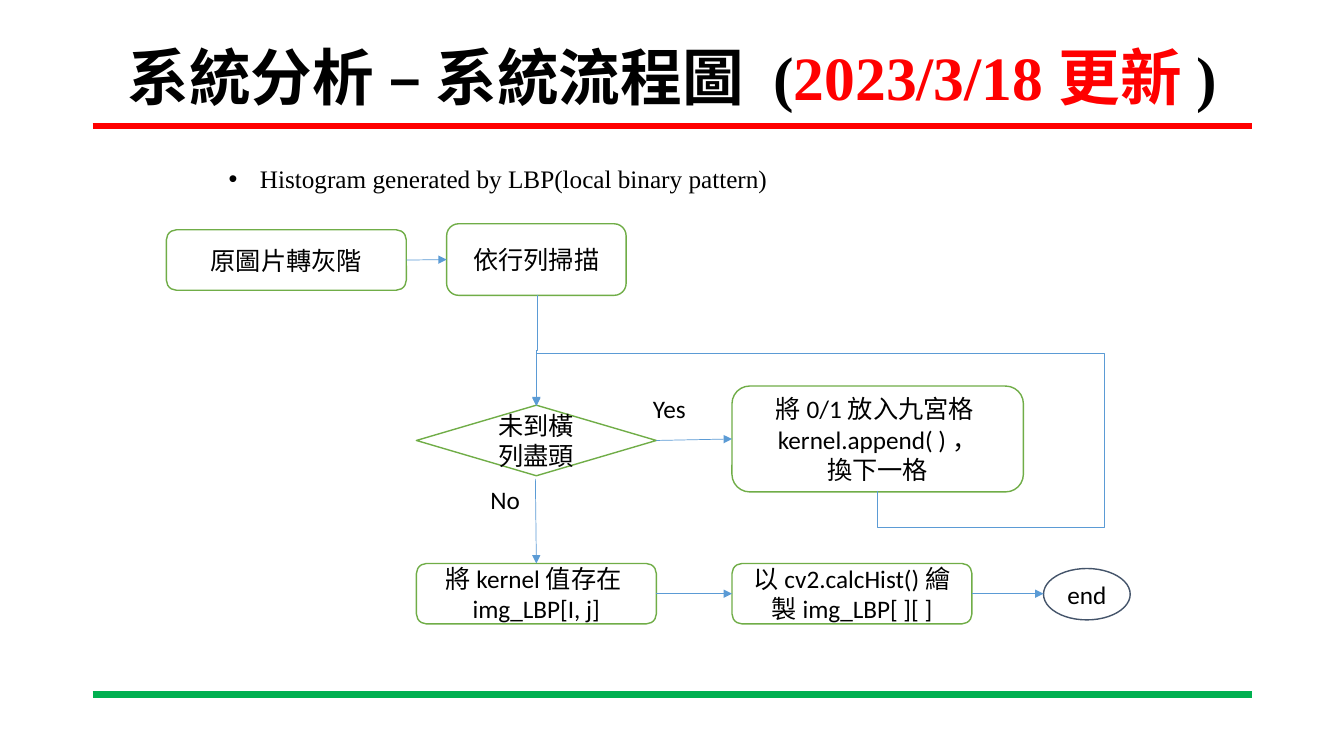
"""Build the system analysis flowchart slide."""
import dataclasses

import pptx
import pptx.dml.color
import pptx.enum.shapes
import pptx.enum.text
import pptx.oxml.ns
import pptx.util
from lxml import etree

EMU_PER_PX = 9144
SHAPE = pptx.enum.shapes.MSO_SHAPE
CONNECTOR = pptx.enum.shapes.MSO_CONNECTOR
CENTER = pptx.enum.text.PP_ALIGN.CENTER
MIDDLE = pptx.enum.text.MSO_ANCHOR.MIDDLE
TOP, LEFT, BOTTOM, RIGHT = range(4)


@dataclasses.dataclass(frozen=True)
class Theme:
    """Colours, fonts, type sizes and line widths of the slide."""
    ink: str = "000000"
    paper: str = "FFFFFF"
    accent: str = "FF0000"
    footer: str = "00B050"
    box: str = "70AD47"
    terminal: str = "44546A"
    arrow: str = "5B9BD5"
    heading_font: str = "Times New Roman"
    body_font: str = "Calibri"
    title_size: int = 44
    body_size: int = 18
    rule_width: float = 4.5
    outline_width: float = 1
    arrow_width: float = 0.5


THEME = Theme()


def px(length):
    """Turn a length in px into EMU."""
    return pptx.util.Emu(round(length * EMU_PER_PX))


def rgb(colour):
    """Turn a hex string into a colour."""
    return pptx.dml.color.RGBColor.from_string(colour)


def add_element(parent, tag, **attributes):
    """Append a DrawingML element to its parent."""
    return etree.SubElement(parent, pptx.oxml.ns.qn(tag), **attributes)


def style_paragraph(paragraph, font_name, size, bold=False):
    """Set the font that all runs of a paragraph share."""
    font = paragraph.font
    font.name, font.size, font.bold = font_name, pptx.util.Pt(size), bold
    font.color.rgb = rgb(THEME.ink)


def add_text_box(slide, left, top, width, height):
    """Add a wrapping text box and return its text frame."""
    frame = slide.shapes.add_textbox(px(left), px(top), px(width), px(height)).text_frame
    frame.word_wrap = True
    return frame


def add_title(slide, runs):
    """Add the centred title from pairs of text and colour."""
    frame = add_text_box(slide, 92, 40, 1150, 79)
    frame.vertical_anchor = MIDDLE
    paragraph = frame.paragraphs[0]
    paragraph.alignment = CENTER
    paragraph.line_spacing = 0.9
    style_paragraph(paragraph, THEME.heading_font, THEME.title_size, bold=True)
    for text, colour in runs:
        run = paragraph.add_run()
        run.text = text
        run.font.color.rgb = rgb(colour)


def add_bullet(slide, text):
    """Add the bulleted line above the flowchart."""
    paragraph = add_text_box(slide, 217, 157, 763, 40).paragraphs[0]
    paragraph.text = text
    properties = paragraph._p.get_or_add_pPr()
    indent = px(31)
    properties.set("marL", str(indent))
    properties.set("indent", str(-indent))
    add_element(properties, "a:buFont", typeface="Arial")
    add_element(properties, "a:buChar", char="•")
    style_paragraph(paragraph, THEME.heading_font, THEME.body_size)


def add_node(slide, kind, left, top, width, height, lines, fill=None, outline=None):
    """Add a flowchart shape with centred text."""
    shape = slide.shapes.add_shape(kind, px(left), px(top), px(width), px(height))
    shape.shadow.inherit = False
    if fill:
        shape.fill.solid()
        shape.fill.fore_color.rgb = rgb(fill)
    else:
        shape.fill.background()
    if outline:
        shape.line.color.rgb = rgb(outline)
        shape.line.width = pptx.util.Pt(THEME.outline_width)
    else:
        shape.line.fill.background()
    frame = shape.text_frame
    frame.word_wrap = True
    frame.vertical_anchor = MIDDLE
    frame.text = "\n".join(lines)
    for paragraph in frame.paragraphs:
        paragraph.alignment = CENTER
        style_paragraph(paragraph, THEME.body_font, THEME.body_size)
    return shape


def add_step(slide, left, top, width, height, *lines, kind=SHAPE.ROUNDED_RECTANGLE):
    """Add a white step with a green outline."""
    return add_node(slide, kind, left, top, width, height, lines, THEME.paper, THEME.box)


def add_line(slide, start, end, colour, width, kind=CONNECTOR.STRAIGHT, arrow=False):
    """Add a connector without shadow, with an optional arrowhead."""
    connector = slide.shapes.add_connector(kind, *map(px, (*start, *end)))
    connector.line.color.rgb = rgb(colour)
    connector.line.width = pptx.util.Pt(width)
    if arrow:
        add_element(connector.get_or_add_ln(), "a:tailEnd", type="triangle")
    add_element(connector._element.spPr, "a:effectLst")
    return connector


def add_arrow(slide, start, end, **options):
    """Add a thin blue arrow."""
    return add_line(slide, start, end, THEME.arrow, THEME.arrow_width, arrow=True, **options)


def join(slide, source, target):
    """Join the right side of one shape to the left side of another."""
    arrow = add_arrow(slide, (0, 0), (1, 1))
    arrow.begin_connect(source, RIGHT)
    arrow.end_connect(target, LEFT)


def add_elbow(slide, start, end, preset, adjustments):
    """Add a bent arrow that leaves vertically and ends to the left of its start."""
    (x1, y1), (x2, y2) = start, end
    arrow = add_arrow(slide, start, end, kind=CONNECTOR.ELBOW)
    width, height = abs(y2 - y1), abs(x2 - x1)
    arrow.left, arrow.top = px((x1 + x2 - width) / 2), px((y1 + y2 - height) / 2)
    arrow.width, arrow.height = px(width), px(height)
    properties = arrow._element.spPr
    frame = properties.find(pptx.oxml.ns.qn("a:xfrm"))
    for flip in ("flipH", "flipV"):
        frame.attrib.pop(flip, None)
    frame.set("rot", "5400000")
    if y2 < y1:
        frame.set("flipH", "1")
    geometry = properties.find(pptx.oxml.ns.qn("a:prstGeom"))
    geometry.set("prst", preset)
    guides = geometry.find(pptx.oxml.ns.qn("a:avLst"))
    for number, value in enumerate(adjustments, 1):
        add_element(guides, "a:gd", name=f"adj{number}", fmla=f"val {value}")


def main():
    """Build and save the slide."""
    presentation = pptx.Presentation()
    presentation.slide_width, presentation.slide_height = px(1333), px(750)
    slide = presentation.slides.add_slide(presentation.slide_layouts[6])

    for y, colour in ((125, THEME.accent), (689, THEME.footer)):
        add_line(slide, (92, y), (1242, y), colour, THEME.rule_width)
    add_title(slide, (("系統分析 – 系統流程圖 (", THEME.ink),
                      ("2023/3/18更新", THEME.accent), (")", THEME.ink)))
    add_bullet(slide, "Histogram generated by LBP(local binary pattern)")

    grayscale = add_step(slide, 165, 228, 238, 60, "原圖片轉灰階")
    scan = add_step(slide, 443, 222, 178, 71, "依行列掃描")
    store = add_step(slide, 413, 559, 238, 60, "將kernel值存在img_LBP[I, j]")
    append = add_step(slide, 726, 383, 289, 105,
                      "將0/1放入九宮格kernel.append( )，", "換下一格")
    decision = add_step(slide, 413, 402, 238, 70, "未到橫列盡頭", kind=SHAPE.DIAMOND)
    draw = add_step(slide, 726, 559, 238, 60, "以cv2.calcHist()繪製img_LBP[ ][ ]")
    finish = add_node(slide, SHAPE.OVAL, 1035, 564, 86, 51, ["end"], outline=THEME.terminal)
    for left, top, answer in ((621, 375, "Yes"), (458, 466, "No")):
        add_node(slide, SHAPE.OVAL, left, top, 86, 60, [answer])

    for source, target in ((grayscale, scan), (decision, append), (store, draw)):
        join(slide, source, target)
    add_arrow(slide, (964, 589), (1035, 589)).begin_connect(draw, RIGHT)
    add_arrow(slide, (531, 475), (532, 559)).end_connect(store, TOP)
    add_elbow(slide, (533, 293), (532, 403), "bentConnector3", (50000,))
    add_elbow(slide, (870, 487), (532, 402), "bentConnector5", (-43000, -66600, 160100))

    presentation.save("out.pptx")


if __name__ == "__main__":
    main()
